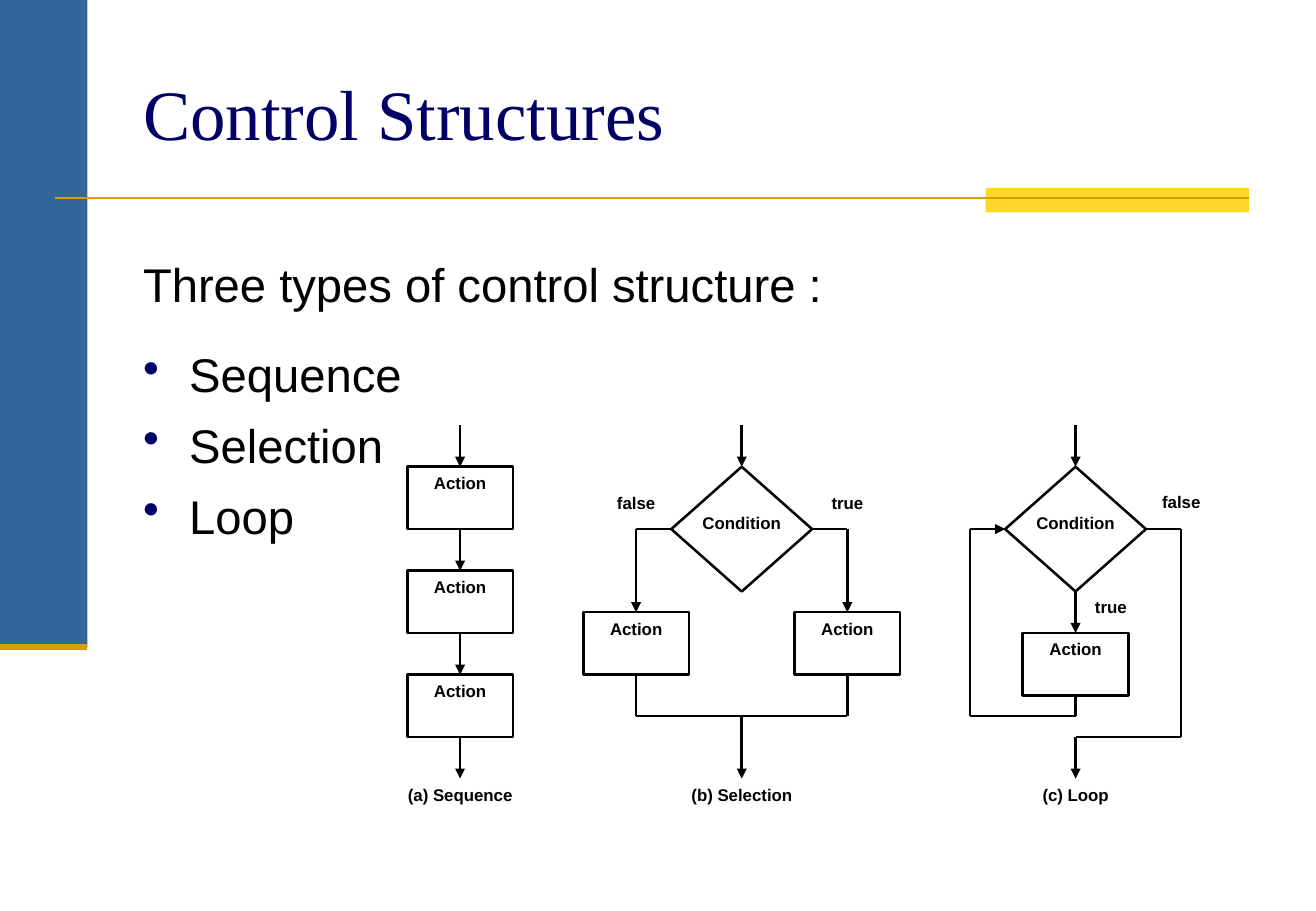
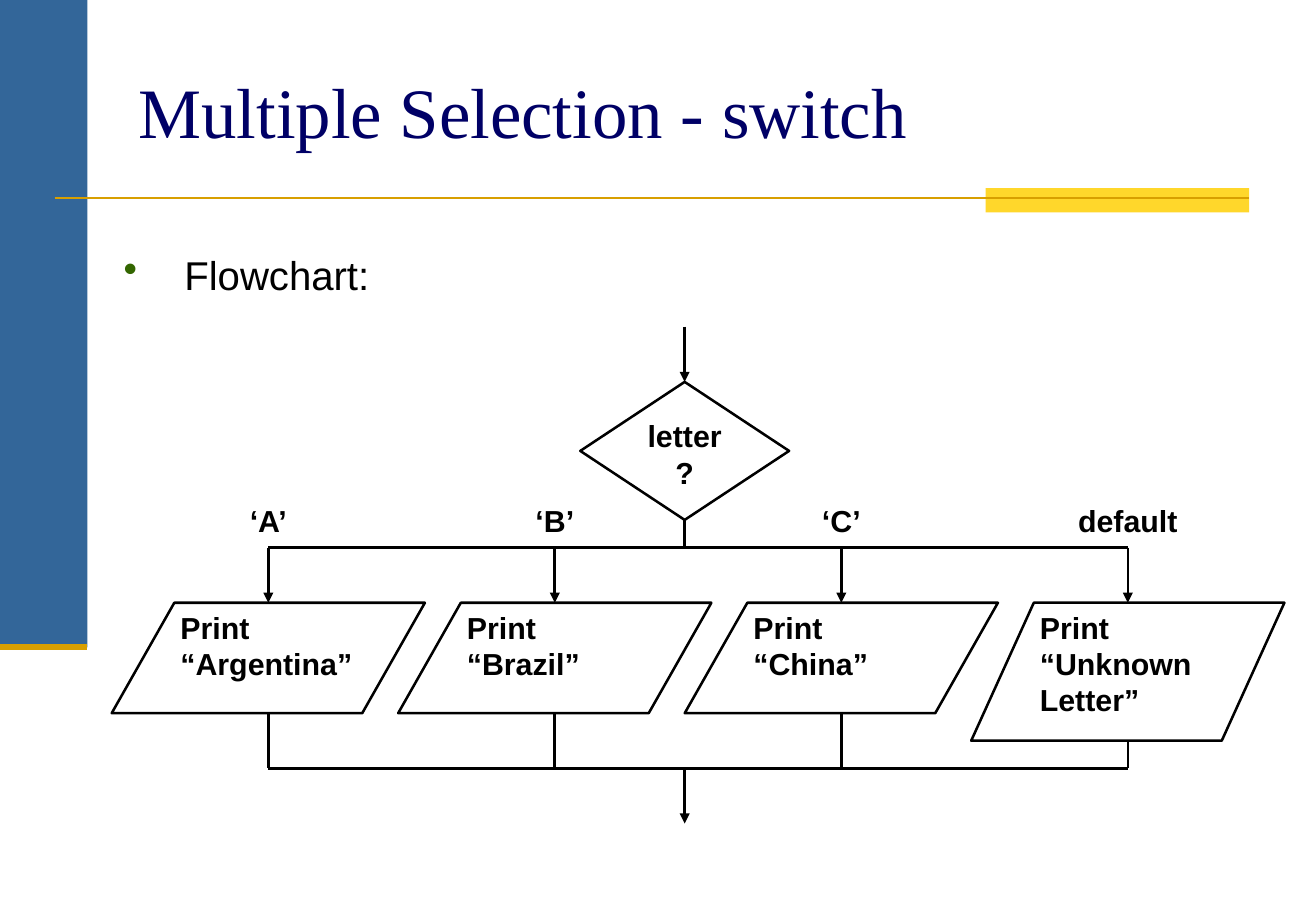
from lxml import etree
from pptx import Presentation
from pptx import util as u
from pptx.dml.color import RGBColor
from pptx.enum import shapes, text
from pptx.oxml.ns import qn

COLORS = {
    "band": "336699", "bar": "FFD72B", "rule": "D89F00", "title": "000066",
    "ink": "000000", "paper": "FFFFFF", "green": "336600",
}
SANS, SERIF = "Arial", "Times New Roman"
SHAPE = shapes.MSO_SHAPE
ALIGN = text.PP_ALIGN
ANCHOR = text.MSO_ANCHOR


def rgb(name):
    return RGBColor.from_string(COLORS[name])


def add_bullet(p, color, indent):
    pPr = p._p.get_or_add_pPr()
    pPr.set("marL", str(u.Inches(indent)))
    pPr.set("indent", str(-u.Inches(indent)))
    clr = etree.SubElement(pPr, qn("a:buClr"))
    etree.SubElement(clr, qn("a:srgbClr")).set("val", COLORS[color])
    etree.SubElement(pPr, qn("a:buChar")).set("char", "•")


def write(tf, content, size=10, font=SANS, color="ink", bold=False,
          align=ALIGN.LEFT, anchor=ANCHOR.TOP, margins=(0.1, 0.05, 0.1, 0.05),
          wrap=True, bullet=None, indent=0.38, first_bullet=0, spaces=()):
    tf.auto_size = text.MSO_AUTO_SIZE.NONE
    tf.word_wrap = wrap
    tf.vertical_anchor = anchor
    tf.margin_left, tf.margin_top, tf.margin_right, tf.margin_bottom = map(u.Inches, margins)
    for i, line in enumerate(content.split("\n")):
        p = tf.paragraphs[0] if i == 0 else tf.add_paragraph()
        p.alignment = align
        if bullet and i >= first_bullet:
            add_bullet(p, bullet, indent)
        if i and spaces:
            p.space_before = u.Pt(spaces[i - 1])
        r = p.add_run()
        r.text = line
        f = r.font
        f.name, f.size, f.bold = font, u.Pt(size), bold
        f.color.rgb = rgb(color)


def add_box(s, kind, x, y, w, h, fill="paper", line="ink"):
    sp = s.shapes.add_shape(kind, *map(u.Inches, (x, y, w, h)))
    sp.shadow.inherit = False
    sp.fill.solid()
    sp.fill.fore_color.rgb = rgb(fill)
    if line:
        sp.line.color.rgb = rgb(line)
        sp.line.width = u.Pt(1.5)
    else:
        sp.line.fill.background()
    return sp


def add_text(s, content, x, y, w, h, **fmt):
    tb = s.shapes.add_textbox(*map(u.Inches, (x, y, w, h)))
    write(tb.text_frame, content, **fmt)


def add_label(s, content, cx, cy, w=1.45, h=0.27, size=10):
    add_text(s, content, cx - w / 2, cy - h / 2, w, h, size=size, bold=True,
             align=ALIGN.CENTER, anchor=ANCHOR.MIDDLE)


def add_line(s, start, end, color="ink", width=1.5, arrow=False):
    c = s.shapes.add_connector(shapes.MSO_CONNECTOR.STRAIGHT, *map(u.Inches, (*start, *end)))
    c.line.color.rgb = rgb(color)
    c.line.width = u.Pt(width)
    if arrow:
        etree.SubElement(c.line._get_or_add_ln(), qn("a:tailEnd")).set("type", "triangle")
    etree.SubElement(c.element.spPr, qn("a:effectLst"))
    return c


def add_route(s, points, begin=None, end=None, arrow=True):
    last = len(points) - 2
    for i, (a, b) in enumerate(zip(points, points[1:])):
        c = add_line(s, a, b, arrow=arrow and i == last)
        if begin and i == 0:
            c.begin_connect(*begin)
        if end and i == last:
            c.end_connect(*end)


def decorate_layout(layout, s):
    parts = [
        add_box(s, SHAPE.RECTANGLE, 0, 0, 0.72, 5.33, "band", None),
        add_box(s, SHAPE.RECTANGLE, 8.12, 1.55, 2.17, 0.2, "bar", None),
        add_line(s, (0.45, 1.63), (10.29, 1.63), "rule"),
        add_line(s, (0, 5.33), (0.72, 5.33), "rule", 3.5),
    ]
    for i, part in enumerate(parts):
        part.element.xpath(".//p:cNvPr")[0].set("id", str(100 + i))
        layout.shapes.element.insert(2 + i, part.element)


def add_title(s, content, x, y):
    t = s.shapes.title
    t.left, t.top, t.width, t.height = map(u.Inches, (x, y, 9.21, 1.25))
    write(t.text_frame, content, size=42, font=SERIF, color="title", anchor=ANCHOR.MIDDLE)


COL, ROW = 1.16 / 8, 2.91 / 17


def grid(cx, top):
    return lambda col, row: (cx + col * COL, top + row * ROW)


def add_action(s, at, col, row):
    sp = add_box(s, SHAPE.RECTANGLE, *at(col - 3, row), 6 * COL, 3 * ROW)
    write(sp.text_frame, "Action", bold=True, align=ALIGN.CENTER, margins=(0.05,) * 4)
    return sp


def add_condition(s, at):
    sp = add_box(s, SHAPE.FLOWCHART_DECISION, *at(-4, 2), 8 * COL, 6 * ROW)
    write(sp.text_frame, "Condition", bold=True, align=ALIGN.CENTER,
          anchor=ANCHOR.MIDDLE, margins=(0, 0, 0, 0.1), wrap=False)
    add_route(s, [at(0, 0), at(0, 2)], end=(sp, 0))
    return sp


def draw_sequence(s, cx, top):
    at = grid(cx, top)
    begin = None
    for row in (2, 7, 12):
        action = add_action(s, at, 0, row)
        add_route(s, [at(0, row - 2), at(0, row)], begin, (action, 0))
        begin = (action, 2)
    add_route(s, [at(0, 15), at(0, 17)], begin)
    add_label(s, "(a) Sequence", *at(0, 17.8))


def draw_selection(s, cx, top):
    at = grid(cx, top)
    condition = add_condition(s, at)
    for side, site, word in ((-1, 1, "false"), (1, 3, "true")):
        action = add_action(s, at, 6 * side, 9)
        add_route(s, [at(4 * side, 5), at(6 * side, 5), at(6 * side, 9)],
                  (condition, site), (action, 0))
        add_route(s, [at(6 * side, 12), at(6 * side, 14), at(0, 14)],
                  (action, 2), arrow=False)
        add_label(s, word, *at(6 * side, 3.75))
    add_route(s, [at(0, 14), at(0, 17)])
    add_label(s, "(b) Selection", *at(0, 17.8))


def draw_loop(s, cx, top):
    at = grid(cx, top)
    condition = add_condition(s, at)
    action = add_action(s, at, 0, 10)
    add_route(s, [at(0, 8), at(0, 10)], (condition, 2), (action, 0))
    add_route(s, [at(0, 13), at(0, 14), at(-6, 14), at(-6, 5), at(-4, 5)],
              (action, 2), (condition, 1))
    add_route(s, [at(4, 5), at(6, 5), at(6, 15), at(0, 15), at(0, 17)], (condition, 3))
    add_label(s, "true", *at(2, 8.75))
    add_label(s, "false", *at(6, 3.7))
    add_label(s, "(c) Loop", *at(0, 17.8))


def draw_switch(s, x, top):
    step, width, unit, cx = 2.36, 2.58, 4.09 / 18, x + 4.72

    def y(row):
        return top + row * unit

    test = add_box(s, SHAPE.FLOWCHART_DECISION, cx - 0.86, y(2), 1.72, 5 * unit)
    write(test.text_frame, "letter\n?", size=18, bold=True, align=ALIGN.CENTER,
          anchor=ANCHOR.MIDDLE, margins=(0, 0.05, 0, 0), wrap=False)
    add_route(s, [(cx, y(0)), (cx, y(2))], end=(test, 0))
    add_route(s, [(cx, y(7)), (cx, y(8))], (test, 2), arrow=False)

    cases = [("‘A’", "“Argentina”", 4), ("‘B’", "“Brazil”", 4),
             ("‘C’", "“China”", 4), ("default", "“Unknown Letter”", 5)]
    first = x + width / 2
    for i, (case, output, rows) in enumerate(cases):
        mid = first + i * step
        sp = add_box(s, SHAPE.FLOWCHART_DATA, mid - width / 2, y(10), width, rows * unit)
        write(sp.text_frame, "Print\n" + output, size=18, bold=True, margins=(0.05,) * 4)
        add_route(s, [(mid, y(8)), (mid, y(10))])
        add_route(s, [(mid, y(10 + rows)), (mid, y(16))], arrow=False)
        add_label(s, case, mid, y(7), 1.29, 0.45, 18)
    for row in (8, 16):
        add_line(s, (first, y(row)), (first + 3 * step, y(row)))
    add_route(s, [(cx, y(16)), (cx, y(18))])


def build_structures(s):
    add_title(s, "Control Structures", 1.08, 0.3)
    add_text(s, "Three types of control structure :\nSequence\nSelection\nLoop",
             1.08, 2.05, 9.21, 4.65, size=28, bullet="title", first_bullet=1,
             spaces=(20, 8.4, 8.4))
    draw_sequence(s, 3.79, 3.5)
    draw_selection(s, 6.11, 3.5)
    draw_loop(s, 8.86, 3.5)


def build_switch(s):
    add_title(s, "Multiple Selection - switch", 1.04, 0.28)
    add_text(s, "Flowchart:", 0.92, 2.01, 9.75, 0.51, size=23.8, bullet="green", indent=0.5)
    draw_switch(s, 0.92, 2.69)


def main():
    prs = Presentation()
    prs.slide_width, prs.slide_height = u.Inches(10.84), u.Inches(7.5)
    layout = prs.slide_layouts[5]
    for i, build in enumerate((build_structures, build_switch)):
        s = prs.slides.add_slide(layout)
        if i == 0:
            decorate_layout(layout, s)
        build(s)
    prs.save("out.pptx")


if __name__ == "__main__":
    main()
